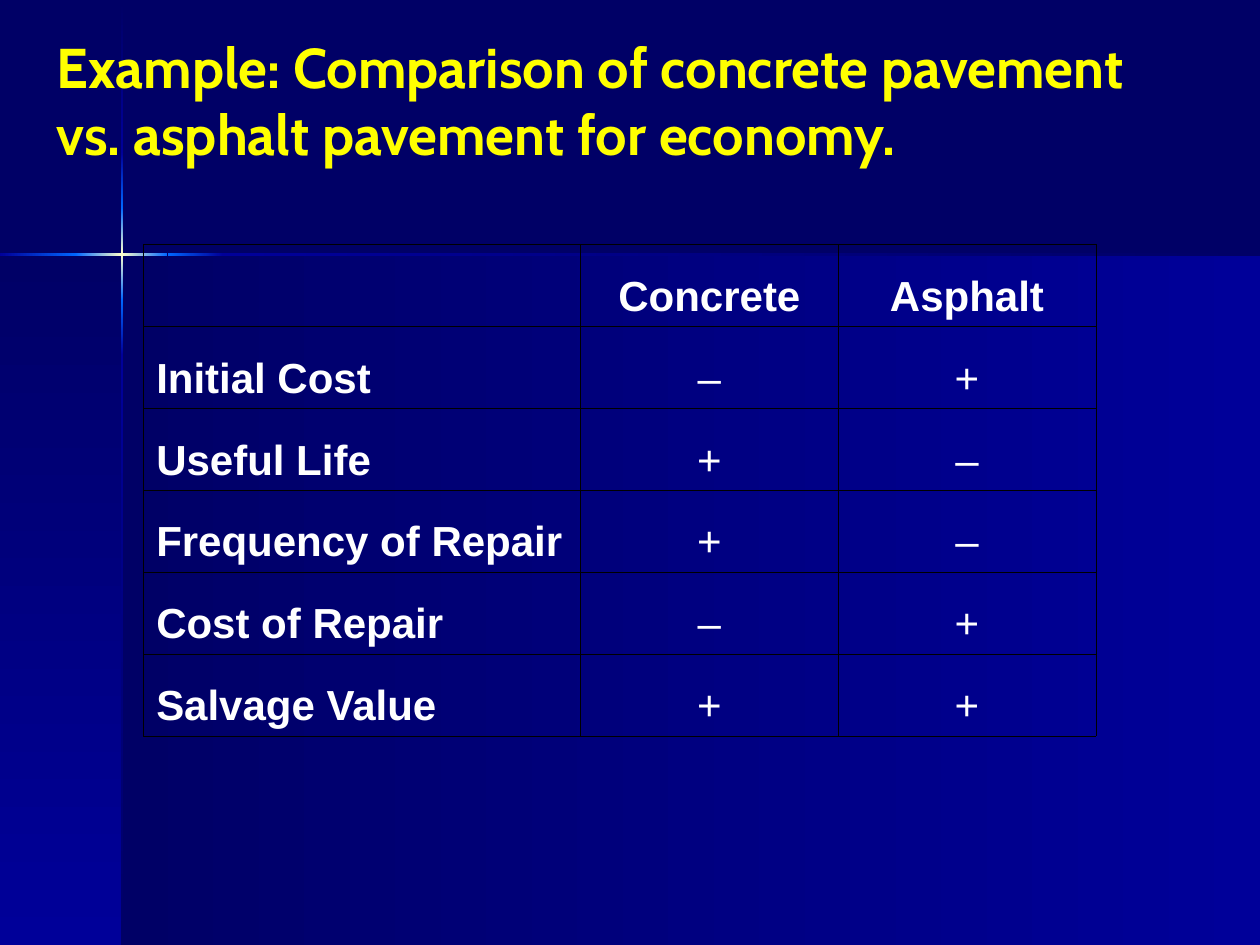
from lxml import etree
from pptx import Presentation
from pptx.dml.color import RGBColor
from pptx.enum.shapes import MSO_SHAPE
from pptx.enum.text import MSO_ANCHOR, PP_ALIGN
from pptx.oxml.ns import qn
from pptx.util import Inches, Pt

RECT = MSO_SHAPE.RECTANGLE
BOTTOM = MSO_ANCHOR.BOTTOM
LEFT, CENTER = PP_ALIGN.LEFT, PP_ALIGN.CENTER

NAVY = RGBColor(0x00, 0x00, 0x66)
BLUE = RGBColor(0x00, 0x00, 0x99)
BRIGHT = RGBColor(0x00, 0x66, 0xFF)
CREAM = RGBColor(0xFF, 0xFF, 0xCC)
WHITE = RGBColor(0xFF, 0xFF, 0xFF)
YELLOW = RGBColor(0xFF, 0xFF, 0x00)
BLACK = RGBColor(0x00, 0x00, 0x00)

TITLE = "Example: Comparison of concrete pavement vs. asphalt pavement for economy."
ROWS = [
    ("", "Concrete", "Asphalt"),
    ("Initial Cost", "–", "+"),
    ("Useful Life", "+", "–"),
    ("Frequency of Repair", "+", "–"),
    ("Cost of Repair", "–", "+"),
    ("Salvage Value", "+", "+"),
]
COLS = [3.47, 2.04, 2.05]
ROW_H = 0.65

# Rays of the star: start, end, colours from start to end
GLOW = (BRIGHT, CREAM, BRIGHT)
DOWN = [
    (0.01, 1.21, (NAVY, BLUE)),
    (2.82, 7.5, (BLUE, NAVY)),
    (2.38, 2.82, (BRIGHT, BLUE)),
    (1.21, 1.65, (BLUE, BRIGHT)),
    (1.65, 2.38, GLOW),
]
ACROSS = [
    (1.77, 10, (BLUE, NAVY)),
    (0, 0.61, (BLUE, BRIGHT)),
    (1.33, 1.77, (BRIGHT, BLUE)),
    (0.6, 1.33, GLOW),
]
STAR_X, STAR_Y, THICK = 0.97, 2.02, 0.02


def add_band(slide, box, tones, upright):
    """Add a rectangle shaded downwards (upright) or left to right."""
    band = slide.shapes.add_shape(RECT, *map(Inches, box))
    band.shadow.inherit = False
    band.line.fill.background()
    band.fill.gradient()
    band.fill.gradient_angle = 270 if upright else 0
    stops = next(band._element.spPr.iter(qn("a:gsLst")))
    for old in list(stops):
        stops.remove(old)
    for i, tone in enumerate(tones):
        pos = 100000 * i // (len(tones) - 1)
        stop = etree.SubElement(stops, qn("a:gs"), pos=str(pos))
        etree.SubElement(stop, qn("a:srgbClr"), val=str(tone))


def add_edges(cell):
    """Draw thin black lines on all four sides of a cell."""
    props = cell._tc.get_or_add_tcPr()
    for i, side in enumerate(("a:lnL", "a:lnR", "a:lnT", "a:lnB")):
        line = etree.Element(qn(side), w=str(Pt(0.45)))
        fill = etree.SubElement(line, qn("a:solidFill"))
        etree.SubElement(fill, qn("a:srgbClr"), val=str(BLACK))
        props.insert(i, line)


def set_font(par, name, size, color, bold):
    font = par.font
    font.name, font.size, font.bold = name, Pt(size), bold
    font.color.rgb = color


def main():
    prs = Presentation()
    prs.slide_width, prs.slide_height = Inches(10), Inches(7.5)
    slide = prs.slides.add_slide(prs.slide_layouts[6])
    back = slide.background.fill
    back.solid()
    back.fore_color.rgb = NAVY

    # Backdrop panels and star
    tall = 7.5 - STAR_Y
    add_band(slide, (STAR_X, STAR_Y, 10 - STAR_X, tall), (NAVY, BLUE), False)
    add_band(slide, (0, STAR_Y, STAR_X, tall), (NAVY, BLUE), True)
    for top, end, tones in DOWN:
        add_band(slide, (STAR_X - THICK / 2, top, THICK, end - top), tones, True)
    for left, end, tones in ACROSS:
        add_band(slide, (left, STAR_Y - THICK / 2, end - left, THICK), tones, False)

    # Comparison table
    frame = slide.shapes.add_table(
        len(ROWS), len(COLS), Inches(1.14), Inches(1.94),
        Inches(sum(COLS)), Inches(ROW_H * len(ROWS)))
    table = frame.table
    table.first_row = table.horz_banding = False
    for col, width in zip(table.columns, COLS):
        col.width = Inches(width)
    for r, row in enumerate(ROWS):
        table.rows[r].height = Inches(ROW_H)
        for c, text in enumerate(row):
            cell = table.cell(r, c)
            cell.fill.background()
            add_edges(cell)
            cell.vertical_anchor = BOTTOM
            cell.text = text
            par = cell.text_frame.paragraphs[0]
            par.alignment = CENTER if c else LEFT
            set_font(par, "Arial", 24, WHITE, r == 0 or c == 0)

    # Title
    box = slide.shapes.add_textbox(
        Inches(0.35), Inches(0.21), Inches(9.21), Inches(1.7))
    box.text_frame.word_wrap = True
    par = box.text_frame.paragraphs[0]
    par.text = TITLE
    set_font(par, "Cabin", 32, YELLOW, True)

    prs.save("out.pptx")


if __name__ == "__main__":
    main()
